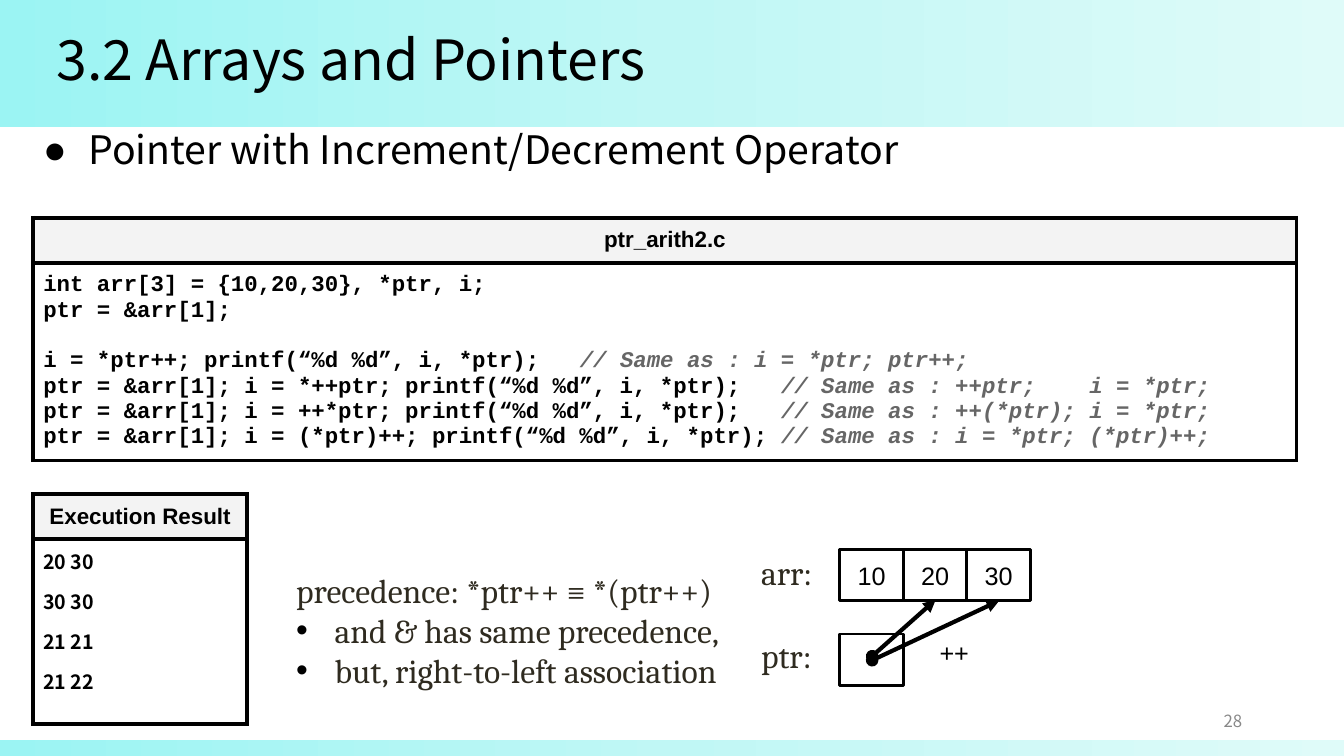
from dataclasses import dataclass, field
from typing import Any

from lxml.etree import SubElement
from copy import deepcopy
from pptx import Presentation
from pptx.dml.color import RGBColor
from pptx.enum.shapes import MSO_CONNECTOR, MSO_SHAPE
from pptx.enum.text import MSO_ANCHOR, PP_ALIGN
from pptx.oxml.ns import qn
from pptx.util import Pt

PX = 9144  # one hundredth of an inch

BLACK = RGBColor(0x00, 0x00, 0x00)
WHITE = RGBColor(0xFF, 0xFF, 0xFF)
HEADER_GRAY = RGBColor(0xF3, 0xF3, 0xF3)
COMMENT_GRAY = RGBColor(0x66, 0x66, 0x66)
NUMBER_GRAY = RGBColor(0x88, 0x88, 0x88)
BROWN = RGBColor(0x2F, 0x2B, 0x20)
BAND_COLORS = (
    RGBColor(0x9B, 0xF4, 0xF3),
    RGBColor(0xC0, 0xF7, 0xF5),
    RGBColor(0xDF, 0xFB, 0xF9),
)

Format = dict[str, Any]
SANS = "Noto Sans CJK KR"
TITLE: Format = {"name": SANS, "size": Pt(39.6), "color": BLACK}
TOPIC: Format = {"name": SANS, "size": Pt(28), "color": BLACK}
NUMBER: Format = {"name": SANS, "size": Pt(12), "color": NUMBER_GRAY}
HEADER: Format = {"name": "Arial", "size": Pt(16), "color": BLACK, "bold": True}
CODE: Format = {**HEADER, "name": "Courier New"}
COMMENT: Format = {**CODE, "color": COMMENT_GRAY, "italic": True}
RESULT: Format = {"name": SANS, "size": Pt(14), "color": BLACK, "bold": True}
LABEL: Format = {"name": "Cambria", "size": Pt(24), "color": BROWN}
VALUE: Format = {"name": "Arial", "size": Pt(18), "color": BLACK}

CENTERED: Format = {"alignment": PP_ALIGN.CENTER}
TIGHT: Format = {"line_spacing": 0.9}
SPACED: Format = {**TIGHT, "space_before": Pt(10)}


@dataclass
class Span:
    text: str
    style: Format


@dataclass
class Para:
    spans: list[Span]
    layout: Format = field(default_factory=dict)
    bullet: str = ""
    indent: int = 0


@dataclass
class TextBox:
    left: int
    top: int
    width: int
    height: int
    paras: list[Para]
    anchor: MSO_ANCHOR = MSO_ANCHOR.TOP
    wrap: bool = True


@dataclass
class Listing:
    """A titled one-column table with a header row and a body row."""
    top: int
    width: int
    body_height: int
    header: str
    paras: list[Para]


@dataclass
class MemoryCell:
    left: int
    top: int
    value: str = ""


@dataclass
class Arrow:
    start: tuple[int, int]
    end: tuple[int, int]


def line(text: str, style: Format, layout: Format | None = None) -> Para:
    return Para([Span(text, style)], layout or {})


def code_line(code: str, comment: str, layout: Format | None = None) -> Para:
    return Para([Span(code, CODE), Span(comment, COMMENT)], layout or {})


def add_bullet(paragraph, bullet: str, indent: int) -> None:
    properties = paragraph._p.get_or_add_pPr()
    properties.set("marL", str(indent * PX))
    properties.set("indent", str(-indent * PX))
    color = SubElement(properties, qn("a:buClr"))
    SubElement(color, qn("a:srgbClr"), val=str(BLACK))
    SubElement(properties, qn("a:buFont"), typeface="Arial")
    SubElement(properties, qn("a:buChar"), char=bullet)


def write(frame, paras: list[Para]) -> None:
    for index, para in enumerate(paras):
        paragraph = frame.add_paragraph() if index else frame.paragraphs[0]
        if para.bullet:
            add_bullet(paragraph, para.bullet, para.indent)
        for name, value in para.layout.items():
            setattr(paragraph, name, value)
        for span in para.spans:
            run = paragraph.add_run()
            run.text = span.text
            for name, value in span.style.items():
                if name == "color":
                    run.font.color.rgb = value
                else:
                    setattr(run.font, name, value)


def add_band(page, top: int, height: int) -> None:
    band = page.shapes.add_shape(MSO_SHAPE.RECTANGLE, 0, top * PX, 1333 * PX, height * PX)
    band.shadow.inherit = False
    band.line.fill.background()
    band.fill.gradient()
    band.fill.gradient_angle = 0
    stops = band._element.spPr.find(".//" + qn("a:gsLst"))
    stops.append(deepcopy(stops[-1]))
    for index, (stop, color) in enumerate(zip(band.fill.gradient_stops, BAND_COLORS)):
        stop.position = index / 2
        stop.color.rgb = color


def add_text(page, box: TextBox) -> None:
    frame = page.shapes.add_textbox(
        box.left * PX, box.top * PX, box.width * PX, box.height * PX).text_frame
    frame.word_wrap = box.wrap
    frame.vertical_anchor = box.anchor
    write(frame, box.paras)


def add_listing(page, listing: Listing) -> None:
    heights = (45, listing.body_height)
    table = page.shapes.add_table(
        2, 1, 33 * PX, listing.top * PX, listing.width * PX, sum(heights) * PX).table
    table.first_row = table.horz_banding = False
    contents = ([line(listing.header, HEADER, CENTERED)], listing.paras)
    for row, height, paras, color in zip(table.rows, heights, contents, (HEADER_GRAY, WHITE)):
        row.height = height * PX
        cell = row.cells[0]
        for side in ("left", "right", "top", "bottom"):
            setattr(cell, f"margin_{side}", 10 * PX)
            border = SubElement(cell._tc.get_or_add_tcPr(),
                                qn(f"a:ln{side[0].upper()}"), w=str(Pt(3)))
            SubElement(SubElement(border, qn("a:solidFill")), qn("a:srgbClr"), val=str(BLACK))
        cell.fill.solid()
        cell.fill.fore_color.rgb = color
        write(cell.text_frame, paras)


def add_memory_cell(page, cell: MemoryCell) -> None:
    box = page.shapes.add_shape(
        MSO_SHAPE.RECTANGLE, cell.left * PX, cell.top * PX, 63 * PX, 51 * PX)
    box.shadow.inherit = False
    box.fill.solid()
    box.fill.fore_color.rgb = WHITE
    box.line.color.rgb = BLACK
    box.line.width = Pt(2)
    if cell.value:
        box.text_frame.vertical_anchor = MSO_ANCHOR.MIDDLE
        write(box.text_frame, [line(cell.value, VALUE, CENTERED)])


def add_arrow(page, arrow: Arrow) -> None:
    points = [coordinate * PX for coordinate in arrow.start + arrow.end]
    connector = page.shapes.add_connector(MSO_CONNECTOR.STRAIGHT, *points)
    connector.line.color.rgb = BLACK
    connector.line.width = Pt(3)
    outline = connector.line._get_or_add_ln()
    SubElement(outline, qn("a:headEnd"), type="oval")
    SubElement(outline, qn("a:tailEnd"), type="triangle")
    SubElement(connector._element.spPr, qn("a:effectLst"))


CODE_LINES = [
    line("int arr[3] = {10,20,30}, *ptr, i;", CODE),
    line("ptr = &arr[1];", CODE),
    code_line("i = *ptr++; printf(“%d %d”, i, *ptr);   ",
              "// Same as : i = *ptr; ptr++;", {"space_before": Pt(18)}),
    code_line("ptr = &arr[1]; i = *++ptr; printf(“%d %d”, i, *ptr);   ",
              "// Same as : ++ptr;    i = *ptr;"),
    code_line("ptr = &arr[1]; i = ++*ptr; printf(“%d %d”, i, *ptr);   ",
              "// Same as : ++(*ptr); i = *ptr;"),
    code_line("ptr = &arr[1]; i = (*ptr)++; printf(“%d %d”, i, *ptr); ",
              "// Same as : i = *ptr; (*ptr)++;"),
]
RESULTS = [line(text, RESULT, SPACED if index else TIGHT)
           for index, text in enumerate(("20 30", "30 30", "21 21", "21 22"))]
LISTINGS = [
    Listing(216, 1253, 196, "ptr_arith2.c", CODE_LINES),
    Listing(490, 212, 183, "Execution Result", RESULTS),
]
PRECEDENCE = [line("precedence: *ptr++ ≡ *(ptr++)", LABEL)] + [
    Para([Span(text, LABEL)], bullet="•", indent=38)
    for text in ("and & has same precedence,", "but, right-to-left association")]
TEXTS = [
    TextBox(46, 27, 1258, 70, [line("3.2 Arrays and Pointers", TITLE, TIGHT)], MSO_ANCHOR.MIDDLE),
    TextBox(33, 125, 1150, 101, [Para(
        [Span("Pointer with Increment/Decrement Operator", TOPIC)], TIGHT, "●", 45)]),
    TextBox(942, 695, 300, 40, [line("28", NUMBER, {"alignment": PP_ALIGN.RIGHT})],
            MSO_ANCHOR.MIDDLE),
    TextBox(745, 543, 79, 50, [line("arr:", LABEL)]),
    TextBox(745, 625, 79, 50, [line("ptr:", LABEL)]),
    TextBox(922, 627, 50, 40, [line("++", VALUE)], wrap=False),
    TextBox(284, 560, 474, 131, PRECEDENCE),
]
MEMORY_CELLS = [MemoryCell(833 + 63 * index, 545, value)
                for index, value in enumerate(("10", "20", "30"))] + [MemoryCell(833, 629)]
ARROWS = [Arrow((865, 651), (928, 595)), Arrow((865, 655), (991, 596))]


def main() -> None:
    deck = Presentation()
    deck.slide_width, deck.slide_height = 1333 * PX, 750 * PX
    page = deck.slides.add_slide(deck.slide_layouts[6])
    add_band(page, 734, 16)
    add_band(page, 0, 126)
    for draw, items in ((add_listing, LISTINGS), (add_memory_cell, MEMORY_CELLS),
                        (add_arrow, ARROWS), (add_text, TEXTS)):
        for item in items:
            draw(page, item)
    deck.save("out.pptx")


if __name__ == "__main__":
    main()
